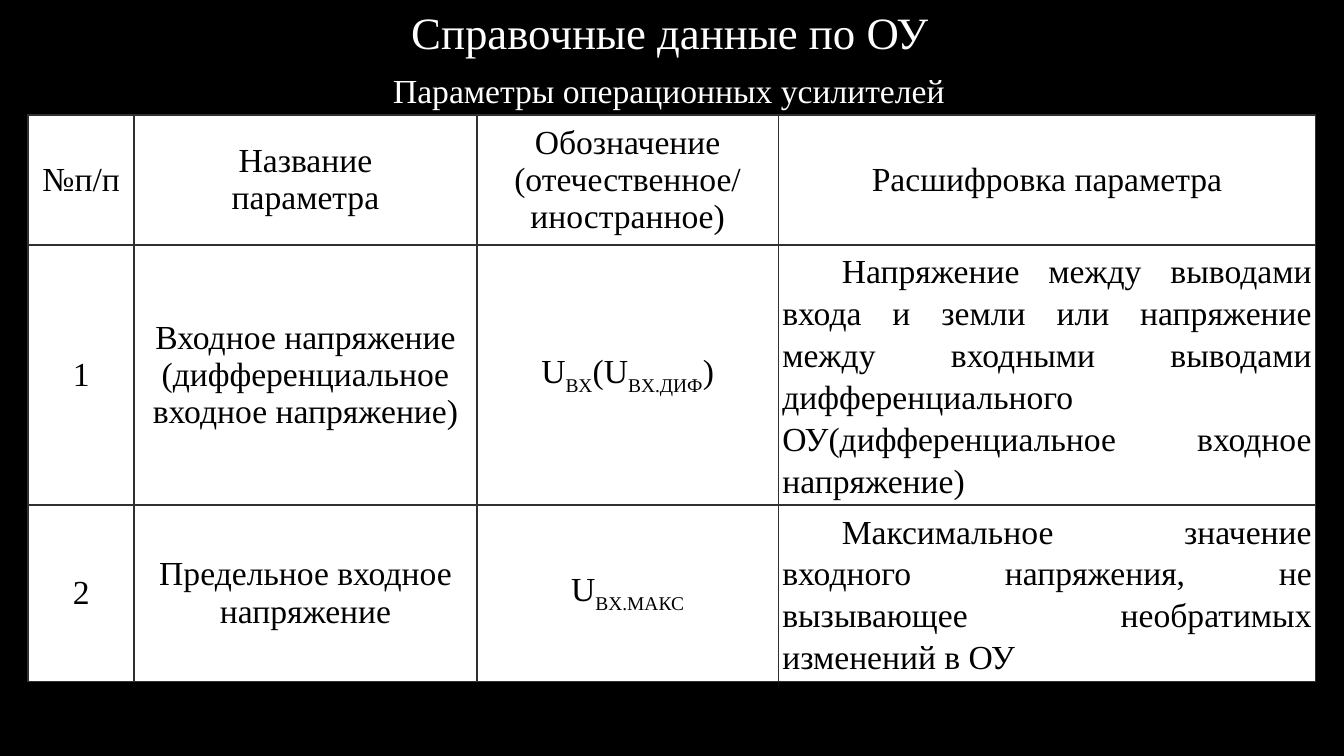
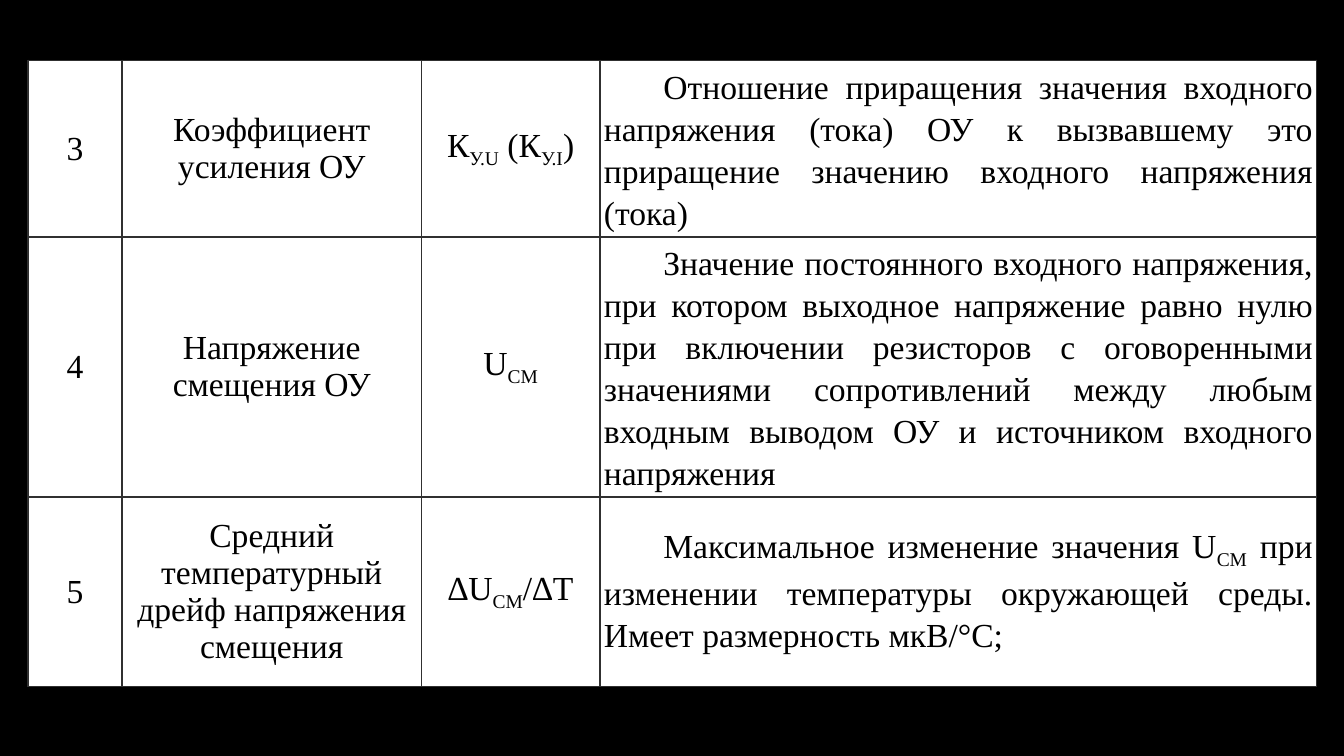
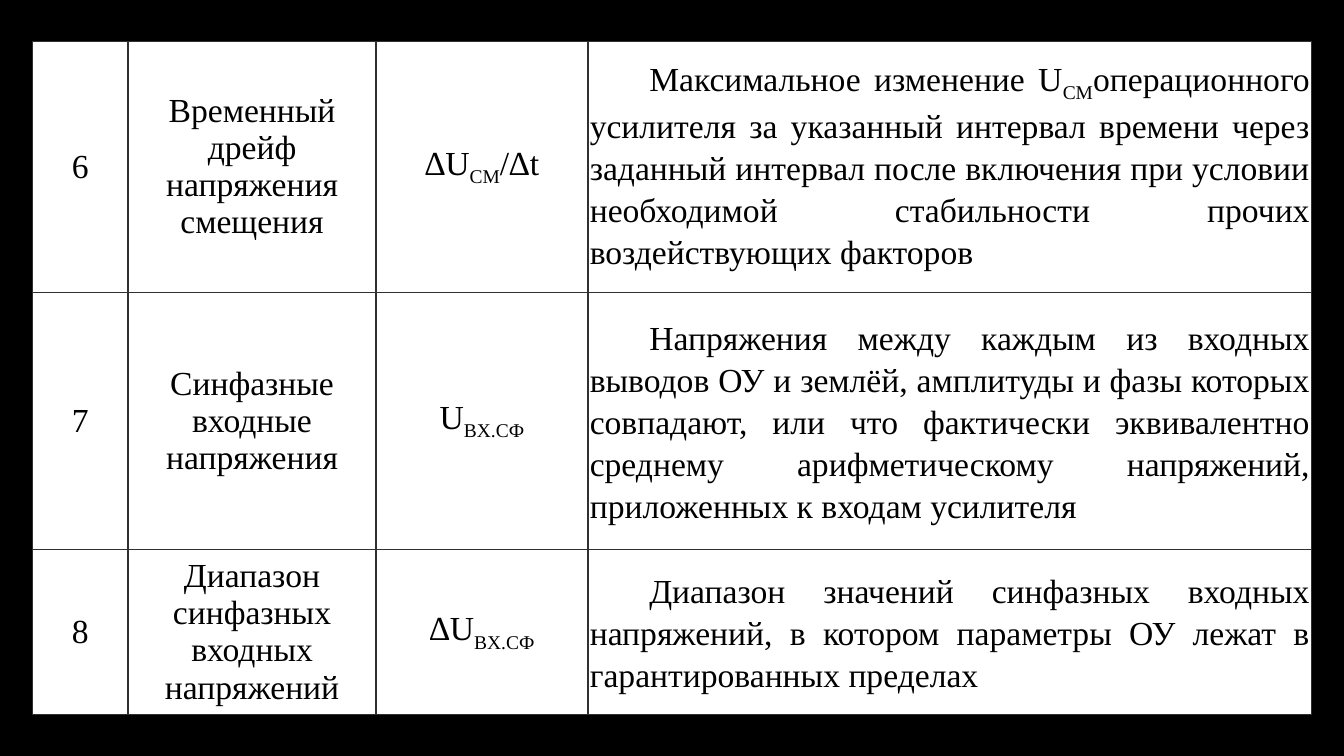
from dataclasses import dataclass

from lxml.etree import SubElement
from pptx import Presentation
from pptx.dml.color import RGBColor
from pptx.enum.text import MSO_ANCHOR, MSO_AUTO_SIZE, PP_ALIGN
from pptx.oxml.ns import qn
from pptx.slide import Slide
from pptx.table import _Cell
from pptx.text.text import TextFrame
from pptx.util import Inches, Length, Pt


@dataclass(frozen=True)
class Theme:
    font: str = "Times New Roman"
    background: RGBColor = RGBColor(0x00, 0x00, 0x00)
    heading: RGBColor = RGBColor(0xFF, 0xFF, 0xFF)
    cell: RGBColor = RGBColor(0xFF, 0xFF, 0xFF)
    ink: RGBColor = RGBColor(0x00, 0x00, 0x00)
    border: str = "303030"
    border_width: Length = Pt(1.2)
    title_size: Length = Pt(32)
    body_size: Length = Pt(24)
    line_spacing: Length = Pt(30)
    indent: Length = Inches(0.59)


THEME = Theme()


@dataclass(frozen=True)
class Heading:
    text: str
    left: float
    top: float
    width: float
    height: float
    size: Length


@dataclass(frozen=True)
class Parameter:
    """One table row; braces in its texts enclose subscripts."""
    number: str
    title: str
    symbol: str
    meaning: str


@dataclass(frozen=True)
class ParameterTable:
    left: float
    top: float
    columns: tuple[float, ...]
    row_heights: tuple[float, ...]
    margin: float
    parameters: tuple[Parameter, ...]
    has_header: bool = False


@dataclass(frozen=True)
class Page:
    table: ParameterTable
    headings: tuple[Heading, ...] = ()


PAGES = (
    Page(
        headings=(
            Heading("Справочные данные по ОУ", 3.98, 0, 5.38, 0.64, THEME.title_size),
            Heading("Параметры операционных усилителей", 3.8, 0.64, 5.73, 0.5, THEME.body_size),
        ),
        table=ParameterTable(
            0.28, 1.14, (1.05, 3.4, 2.99, 5.33), (1.29, 2.58, 1.75), 0.04,
            has_header=True,
            parameters=(
                Parameter("№п/п", "Название\nпараметра",
                          "Обозначение (отечественное/\nиностранное)",
                          "Расшифровка параметра"),
                Parameter("1", "Входное напряжение (дифференциальное входное напряжение)",
                          "U{BX}(U{BX.ДИФ})",
                          "Напряжение между выводами входа и земли или напряжение между "
                          "входными выводами дифференциального ОУ(дифференциальное входное "
                          "напряжение)"),
                Parameter("2", "Предельное входное напряжение", "U{BX.МАКС}",
                          "Максимальное значение входного напряжения, не вызывающее "
                          "необратимых изменений в ОУ"),
            ),
        ),
    ),
    Page(
        table=ParameterTable(
            0.28, 0.6, (0.93, 2.97, 1.77, 7.11), (1.75, 2.58, 1.88), 0.04,
            parameters=(
                Parameter("3", "Коэффициент усиления ОУ", "К{У.U} (К{У.I})",
                          "Отношение приращения значения входного напряжения (тока) ОУ к "
                          "вызвавшему это приращение значению входного напряжения (тока)"),
                Parameter("4", "Напряжение смещения ОУ", "U{СМ}",
                          "Значение постоянного входного напряжения, при котором выходное "
                          "напряжение равно нулю при включении резисторов с оговоренными "
                          "значениями сопротивлений между любым входным выводом ОУ и "
                          "источником входного напряжения"),
                Parameter("5", "Средний температурный дрейф напряжения смещения",
                          "∆U{СМ}/∆Т",
                          "Максимальное изменение значения U{СМ} при изменении температуры "
                          "окружающей среды. Имеет размерность мкВ/°C;"),
            ),
        ),
    ),
    Page(
        table=ParameterTable(
            0.32, 0.41, (0.95, 2.46, 2.1, 7.18), (2.49, 2.55, 1.52), 0.02,
            parameters=(
                Parameter("6", "Временный дрейф напряжения смещения", "∆U{СМ}/∆t",
                          "Максимальное изменение U{СМ}операционного усилителя за указанный "
                          "интервал времени через заданный интервал после включения при "
                          "условии необходимой стабильности прочих воздействующих факторов"),
                Parameter("7", "Синфазные входные напряжения", "U{BX.СФ}",
                          "Напряжения между каждым из входных выводов ОУ и землёй, амплитуды "
                          "и фазы которых совпадают, или что фактически эквивалентно среднему "
                          "арифметическому напряжений, приложенных к входам усилителя"),
                Parameter("8", "Диапазон синфазных входных напряжений", "∆U{BX.СФ}",
                          "Диапазон значений синфазных входных напряжений, в котором "
                          "параметры ОУ лежат в гарантированных пределах"),
            ),
        ),
    ),
)


def write_text(frame: TextFrame, text: str, *, color: RGBColor = THEME.ink,
               size: Length = THEME.body_size, align: PP_ALIGN = PP_ALIGN.CENTER,
               indent: Length | None = None, spacing: Length | None = None) -> None:
    """Write one paragraph, lowering the parts in braces to subscripts."""
    paragraph = frame.paragraphs[0]
    paragraph.alignment = align
    if spacing is not None:
        paragraph.line_spacing = spacing
    if indent is not None:
        properties = paragraph._p.get_or_add_pPr()
        properties.set("marL", "0")
        properties.set("indent", str(int(indent)))
    for part_index, part in enumerate(text.replace("}", "{").split("{")):
        for line_index, line in enumerate(part.split("\n")):
            if line_index:
                paragraph.add_line_break()
            if not line:
                continue
            run = paragraph.add_run()
            run.text = line
            run.font.name = THEME.font
            run.font.size = size
            run.font.color.rgb = color
            if part_index % 2:
                run._r.get_or_add_rPr().set("baseline", "-25000")


def add_heading(slide: Slide, heading: Heading) -> None:
    box = slide.shapes.add_textbox(Inches(heading.left), Inches(heading.top),
                                   Inches(heading.width), Inches(heading.height))
    box.text_frame.word_wrap = False
    box.text_frame.auto_size = MSO_AUTO_SIZE.SHAPE_TO_FIT_TEXT
    write_text(box.text_frame, heading.text, color=THEME.heading,
               size=heading.size, align=PP_ALIGN.LEFT)


def style_cell(cell: _Cell, margin: Length) -> None:
    cell.fill.solid()
    cell.fill.fore_color.rgb = THEME.cell
    cell.vertical_anchor = MSO_ANCHOR.MIDDLE
    cell.margin_left = cell.margin_right = margin
    cell.margin_top = cell.margin_bottom = margin
    properties = cell._tc.get_or_add_tcPr()
    for position, side in enumerate(("a:lnL", "a:lnR", "a:lnT", "a:lnB")):
        border = SubElement(properties, qn(side), w=str(int(THEME.border_width)))
        SubElement(SubElement(border, qn("a:solidFill")), qn("a:srgbClr"), val=THEME.border)
        # Borders must stand before the fill in the cell properties.
        properties.insert(position, border)


def add_parameter_table(slide: Slide, content: ParameterTable) -> None:
    table = slide.shapes.add_table(
        len(content.parameters), len(content.columns),
        Inches(content.left), Inches(content.top),
        Inches(sum(content.columns)), Inches(sum(content.row_heights))).table
    table.first_row = content.has_header
    table.horz_banding = False
    for column, width in zip(table.columns, content.columns):
        column.width = Inches(width)
    for row, height in zip(table.rows, content.row_heights):
        row.height = Inches(height)
    for row_index, parameter in enumerate(content.parameters):
        cells = table.rows[row_index].cells
        texts = (parameter.number, parameter.title, parameter.symbol, parameter.meaning)
        is_header = content.has_header and row_index == 0
        for cell, text in zip(cells, texts):
            style_cell(cell, Inches(content.margin))
            if text is parameter.meaning and not is_header:
                write_text(cell.text_frame, text, align=PP_ALIGN.JUSTIFY,
                           indent=THEME.indent, spacing=THEME.line_spacing)
            else:
                write_text(cell.text_frame, text)


def main() -> None:
    presentation = Presentation()
    presentation.slide_width = Inches(13.33)
    presentation.slide_height = Inches(7.5)
    background = presentation.slide_master.background.fill
    background.solid()
    background.fore_color.rgb = THEME.background
    blank = presentation.slide_layouts[6]
    for page in PAGES:
        slide = presentation.slides.add_slide(blank)
        for heading in page.headings:
            add_heading(slide, heading)
        add_parameter_table(slide, page.table)
    presentation.save("out.pptx")


if __name__ == "__main__":
    main()
